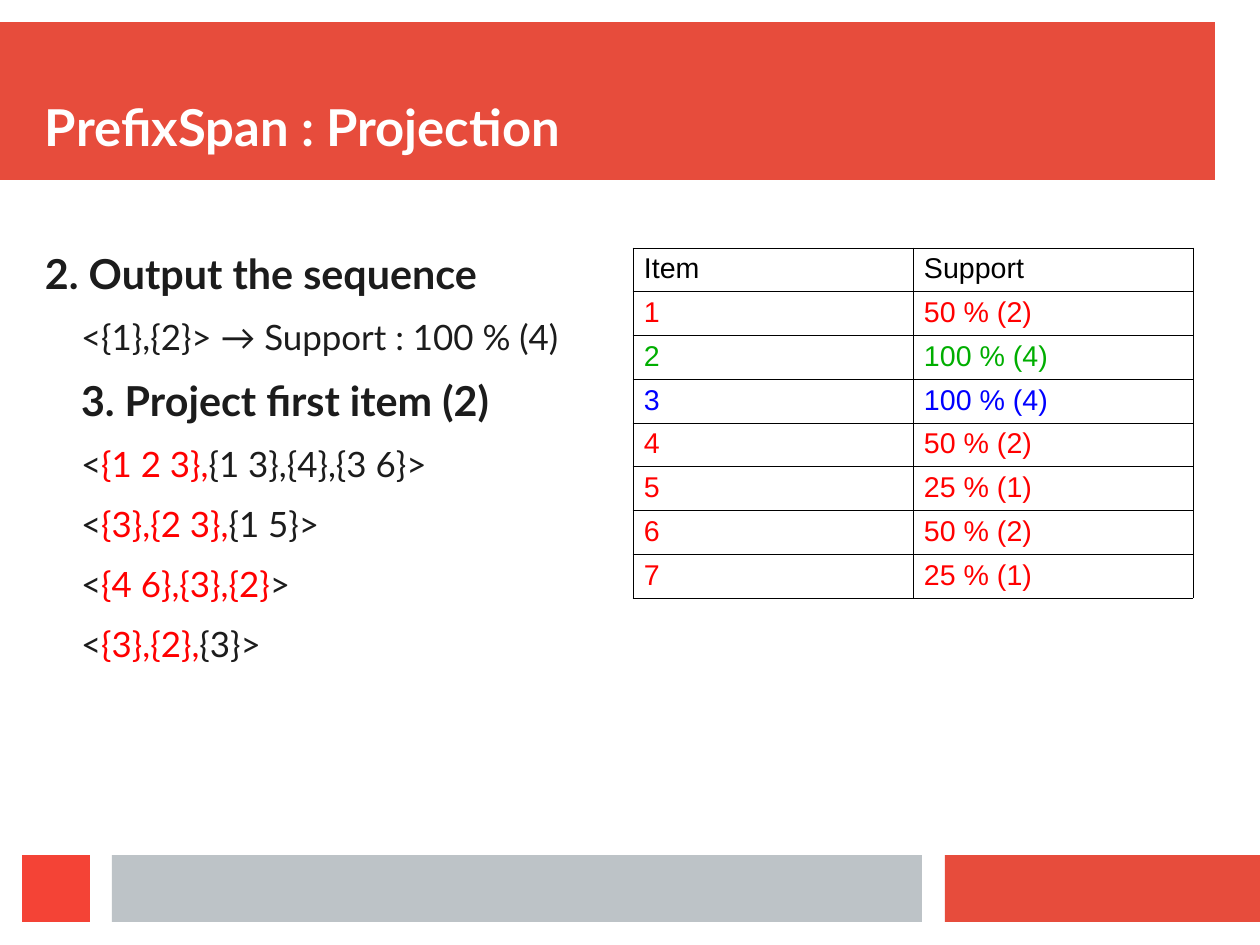
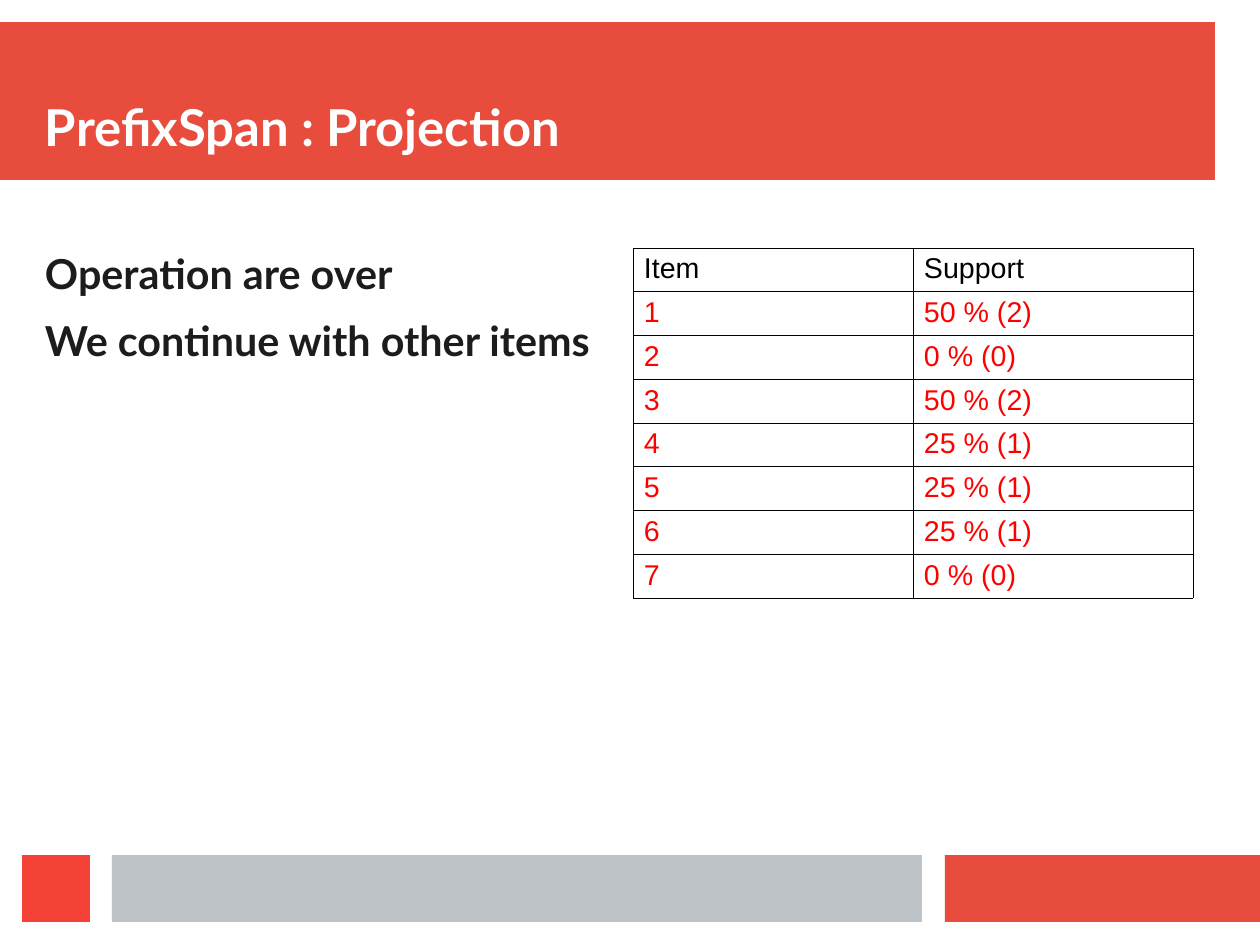
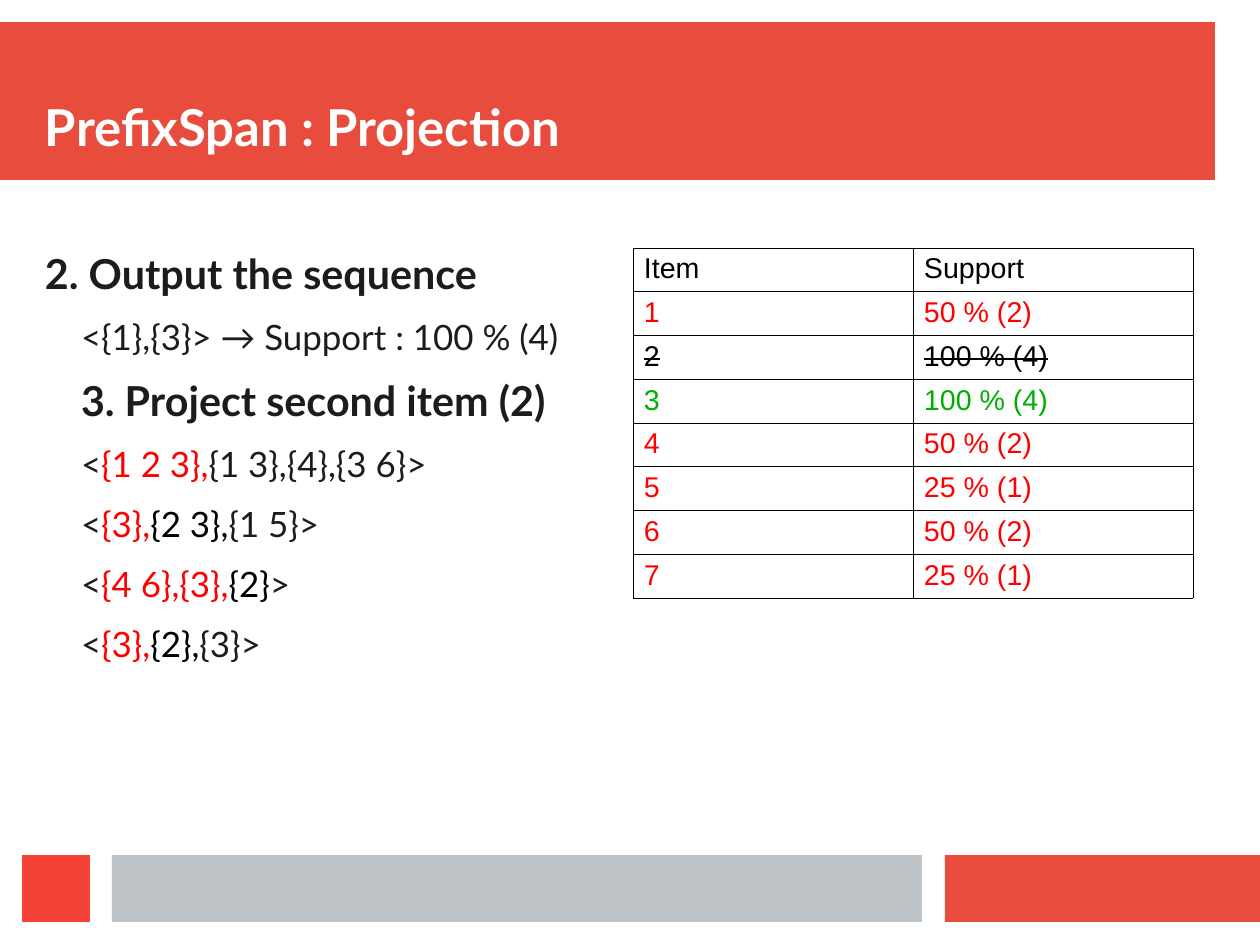
from lxml.etree import SubElement as Sub
from pptx import Presentation
from pptx.dml.color import RGBColor as RGB
from pptx.enum.shapes import MSO_SHAPE as Shape
from pptx.enum.text import MSO_ANCHOR as Anchor, MSO_AUTO_SIZE as Fit, PP_ALIGN as Align
from pptx.oxml.ns import qn
from pptx.util import Emu, Pt

# Colours
CORAL = RGB(0xE7, 0x4C, 0x3C)
SCARLET = RGB(0xF4, 0x43, 0x36)
SILVER = RGB(0xBD, 0xC3, 0xC7)
WHITE = RGB(0xFF, 0xFF, 0xFF)
INK = RGB(0x1C, 0x1C, 0x1C)
BLACK = RGB(0x00, 0x00, 0x00)
RED = RGB(0xFF, 0x00, 0x00)
GREEN = RGB(0x00, 0xAE, 0x00)
BLUE = RGB(0x00, 0x00, 0xFF)

# Bands: left, top, width, height, colour
BANDS = [
    (0, 22, 1215, 158, CORAL),
    (945, 855, 315, 67, CORAL),
    (112, 855, 810, 67, SILVER),
    (22, 855, 68, 67, SCARLET),
]
INDENT = 36


def px(n):
    return Emu(n * 8000)


class Deck:
    """Style of the deck and the slide being filled."""

    def __init__(self):
        self.prs = Presentation()
        self.prs.slide_width, self.prs.slide_height = px(1260), px(945)
        self.base = self.prs.slide_layouts[1]
        self.slide = None

    def add(self, title):
        first = self.slide is None
        self.slide = self.prs.slides.add_slide(self.base)
        if first:
            self.bands()
        frame = self.place(self.slide.shapes.title, 45, 45, 1170, 112)
        frame.vertical_anchor = Anchor.BOTTOM
        par = frame.paragraphs[0]
        par.alignment = Align.LEFT
        self.run(par, title, 32, WHITE, bold=True)

    def bands(self):
        """Draw the bands once and move them to the shared layout."""
        tree = self.base.shapes.element
        for spot, (x, y, w, h, fill) in enumerate(BANDS, 2):
            band = self.slide.shapes.add_shape(
                Shape.RECTANGLE, px(x), px(y), px(w), px(h))
            band.shadow.inherit = False
            band.fill.solid()
            band.fill.fore_color.rgb = fill
            band.line.fill.background()
            tree.insert(spot, band.element)

    def place(self, shape, x, y, w, h):
        shape.left, shape.top, shape.width, shape.height = map(px, (x, y, w, h))
        frame = shape.text_frame
        frame.margin_left = frame.margin_right = 0
        frame.margin_top = frame.margin_bottom = 0
        frame.word_wrap = True
        frame.auto_size = Fit.NONE
        return frame

    def run(self, par, text, size, color, font="Lato", bold=False, strike=False):
        run = par.add_run()
        run.text = text
        run.font.name = font
        run.font.size = Pt(size)
        run.font.bold = bold
        run.font.color.rgb = color
        if strike:
            run._r.get_or_add_rPr().set("strike", "sngStrike")

    def body(self, lines):
        """Fill the body; a line is a heading (str) or a list of runs."""
        frame = self.place(self.slide.placeholders[1], 45, 248, 560, 585)
        frame.vertical_anchor = Anchor.TOP
        nested = False
        for i, line in enumerate(lines):
            par = frame.add_paragraph() if i else frame.paragraphs[0]
            head = isinstance(line, str)
            nested = nested or not head
            par.level = 0 if head else 1
            par.alignment = Align.LEFT
            par.line_spacing = 1.0
            par.space_before = Pt(0)
            par.space_after = Pt(11.4 if head else 11.3)
            props = par._p.get_or_add_pPr()
            props.set("marL", str(px(INDENT if nested else 0)))
            props.set("indent", "0")
            Sub(props, qn("a:buNone"))
            if head:
                self.run(par, line, 26, INK, bold=True)
            else:
                for text, color in line:
                    self.run(par, text, 22, color)

    def table(self, counts, tints, struck=()):
        """Support table: one count out of four sequences per item."""
        rows = [("Item", "Support")]
        rows += [(str(i), f"{n * 25} % ({n})") for i, n in enumerate(counts, 1)]
        grid = self.slide.shapes.add_table(
            len(rows), 2, px(633), px(248), px(560), px(350)).table
        grid.first_row = grid.horz_banding = False
        for r, row in enumerate(rows):
            color = tints.get(r, RED) if r else BLACK
            for c, text in enumerate(row):
                cell = grid.cell(r, c)
                cell.margin_left = cell.margin_right = px(11)
                cell.margin_top = cell.margin_bottom = px(5)
                self.edge(cell)
                cell.fill.background()
                self.run(cell.text_frame.paragraphs[0], text, 18, color,
                         font="Arial", strike=r in struck)

    def edge(self, cell):
        props = cell._tc.get_or_add_tcPr()
        for side in "LRTB":
            line = Sub(props, qn(f"a:ln{side}"), w=str(Pt(0.57)))
            fill = Sub(line, qn("a:solidFill"))
            Sub(fill, qn("a:srgbClr"), val=str(BLACK))


def seq(gone, rest, kept=""):
    """Runs of a sequence: removed part, kept part in black, remainder."""
    parts = [("<", INK), (gone, RED), (kept, BLACK), (rest + ">", INK)]
    return [part for part in parts if part[0]]


def main():
    deck = Deck()
    title = "PrefixSpan : Projection"
    counts = [2, 4, 4, 2, 1, 2, 1]

    # First item
    deck.add(title)
    deck.body([
        "2. Output the sequence",
        [("<{1},{2}> → Support : 100 % (4)", INK)],
        "3. Project first item (2)",
        seq("{1 2 3},", "{1 3},{4},{3 6}"),
        seq("{3},{2 3},", "{1 5}"),
        seq("{4 6},{3},{2}", ""),
        seq("{3},{2},", "{3}"),
    ])
    deck.table(counts, {2: GREEN, 3: BLUE})

    # End of the first branch
    deck.add(title)
    deck.body(["Operation are over", "We continue with other items"])
    deck.table([2, 0, 2, 1, 1, 1, 0], {})

    # Second item
    deck.add(title)
    deck.body([
        "2. Output the sequence",
        [("<{1},{3}> → Support : 100 % (4)", INK)],
        "3. Project second item (2)",
        seq("{1 2 3},", "{1 3},{4},{3 6}"),
        seq("{3},", "{1 5}", "{2 3},"),
        seq("{4 6},{3},", "", "{2}"),
        seq("{3},", "{3}", "{2},"),
    ])
    deck.table(counts, {2: BLACK, 3: GREEN}, struck=(2,))

    deck.prs.save("out.pptx")


if __name__ == "__main__":
    main()
